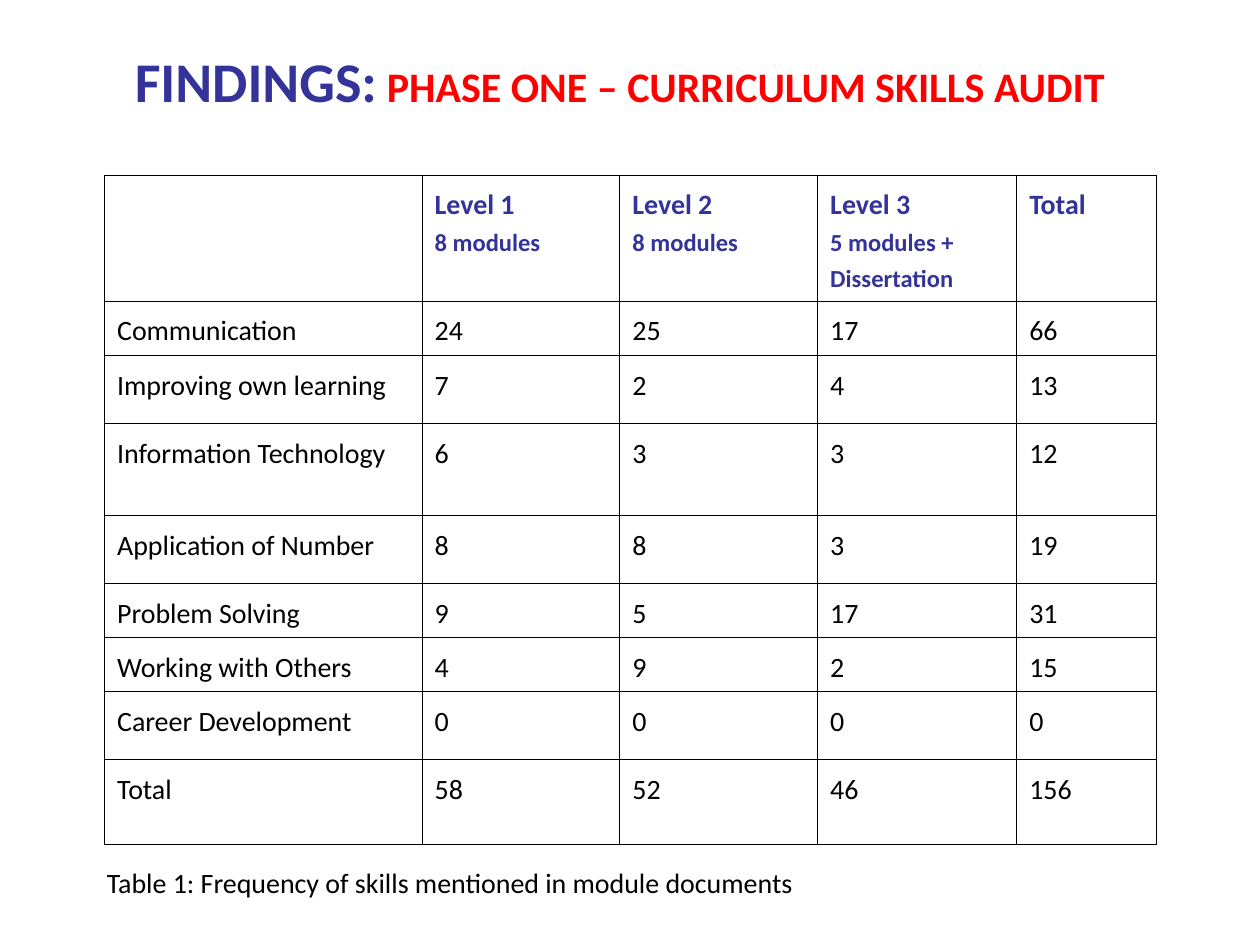
from dataclasses import dataclass

from lxml.etree import SubElement
from pptx import Presentation
from pptx.dml.color import RGBColor
from pptx.enum.text import MSO_ANCHOR as Anchor, MSO_AUTO_SIZE as AutoSize, PP_ALIGN as Align
from pptx.oxml.ns import qn
from pptx.util import Inches, Pt


@dataclass(frozen=True)
class Theme:
    """Colours and type sizes of the slide."""
    font: str = "Calibri"
    heading: str = "333399"
    accent: str = "FF0000"
    ink: str = "000000"
    title_size: int = 32
    subtitle_size: int = 24
    body_size: int = 16
    note_size: int = 14
    border: float = 0.45


THEME = Theme()
COLUMN_WIDTHS = [2.52, 1.57, 1.57, 1.58, 1.11]
ROW_HEIGHTS = [1, 0.43, 0.54, 0.73, 0.54, 0.43, 0.43, 0.54, 0.67]
HEADERS = [
    [],
    ["Level 1", "8 modules"],
    ["Level 2", "8 modules"],
    ["Level 3", "5 modules + Dissertation"],
    ["Total"],
]
SKILLS = [
    ["Communication", 24, 25, 17, 66],
    ["Improving own learning", 7, 2, 4, 13],
    ["Information Technology", 6, 3, 3, 12],
    ["Application of Number", 8, 8, 3, 19],
    ["Problem Solving", 9, 5, 17, 31],
    ["Working with Others", 4, 9, 2, 15],
    ["Career Development", 0, 0, 0, 0],
    ["Total", 58, 52, 46, 156],
]


def apply_format(target, values):
    """Set each named attribute on the target."""
    for name, value in values.items():
        setattr(target, name, value)


def add_run(paragraph, text, size, color, bold=False):
    """Append a formatted run to the paragraph."""
    run = paragraph.add_run()
    run.text = text
    apply_format(run.font, {"name": THEME.font, "size": Pt(size), "bold": bold})
    run.font.color.rgb = RGBColor.from_string(color)


def add_title(slide, left, top, width, height):
    """Place the two-colour title in its placeholder."""
    title = slide.shapes.title
    apply_format(title, {"left": left, "top": top, "width": width, "height": height})
    apply_format(title.text_frame, {
        "auto_size": AutoSize.NONE,
        "vertical_anchor": Anchor.MIDDLE,
        "margin_bottom": Inches(0.45),
    })
    paragraph = title.text_frame.paragraphs[0]
    paragraph.alignment = Align.CENTER
    add_run(paragraph, "FINDINGS:", THEME.title_size, THEME.heading, True)
    add_run(paragraph, " PHASE ONE – CURRICULUM SKILLS AUDIT", THEME.subtitle_size, THEME.accent, True)


def add_borders(cell):
    """Draw a thin solid line on all four sides of the cell."""
    properties = cell._tc.get_or_add_tcPr()
    for side in ("a:lnL", "a:lnR", "a:lnT", "a:lnB"):
        line = SubElement(properties, qn(side), w=str(Pt(THEME.border)))
        fill = SubElement(line, qn("a:solidFill"))
        SubElement(fill, qn("a:srgbClr"), val=THEME.ink)


def fill_cell(cell, lines, is_header):
    """Write the lines of one cell, with smaller notes below a header."""
    add_borders(cell)
    cell.fill.background()
    color = THEME.heading if is_header else THEME.ink
    for index, text in enumerate(lines):
        frame = cell.text_frame
        paragraph = frame.add_paragraph() if index else frame.paragraphs[0]
        paragraph.line_spacing = 1.2
        size = THEME.note_size if index else THEME.body_size
        add_run(paragraph, text, size, color, is_header)


def add_skills_table(slide, left, top, width, height):
    """Place the table of skill counts by level."""
    rows = [HEADERS] + [[[str(value)] for value in row] for row in SKILLS]
    table = slide.shapes.add_table(len(rows), len(HEADERS), left, top, width, height).table
    apply_format(table, {"first_row": False, "horz_banding": False})
    for column, column_width in zip(table.columns, COLUMN_WIDTHS):
        column.width = Inches(column_width)
    for row, row_height, values in zip(table.rows, ROW_HEIGHTS, rows):
        row.height = Inches(row_height)
        for cell, lines in zip(row.cells, values):
            fill_cell(cell, lines, values is HEADERS)


def add_caption(slide, left, top, width, height):
    """Place the caption below the table."""
    frame = slide.shapes.add_textbox(left, top, width, height).text_frame
    apply_format(frame, {"word_wrap": True, "auto_size": AutoSize.SHAPE_TO_FIT_TEXT})
    add_run(frame.paragraphs[0], "Table 1: Frequency of skills mentioned in module documents",
            THEME.body_size, THEME.ink)


def main():
    """Build and save the findings slide."""
    presentation = Presentation()
    apply_format(presentation, {"slide_width": Inches(10), "slide_height": Inches(7.5)})
    slide = presentation.slides.add_slide(presentation.slide_layouts.get_by_name("Title Only"))
    add_title(slide, Inches(0.51), Inches(0.21), Inches(8.82), Inches(1.25))
    add_skills_table(slide, Inches(0.83), Inches(1.39), Inches(8.36), Inches(5.3))
    add_caption(slide, Inches(0.75), Inches(6.82), Inches(8.66), Inches(0.37))
    presentation.save("out.pptx")


if __name__ == "__main__":
    main()
